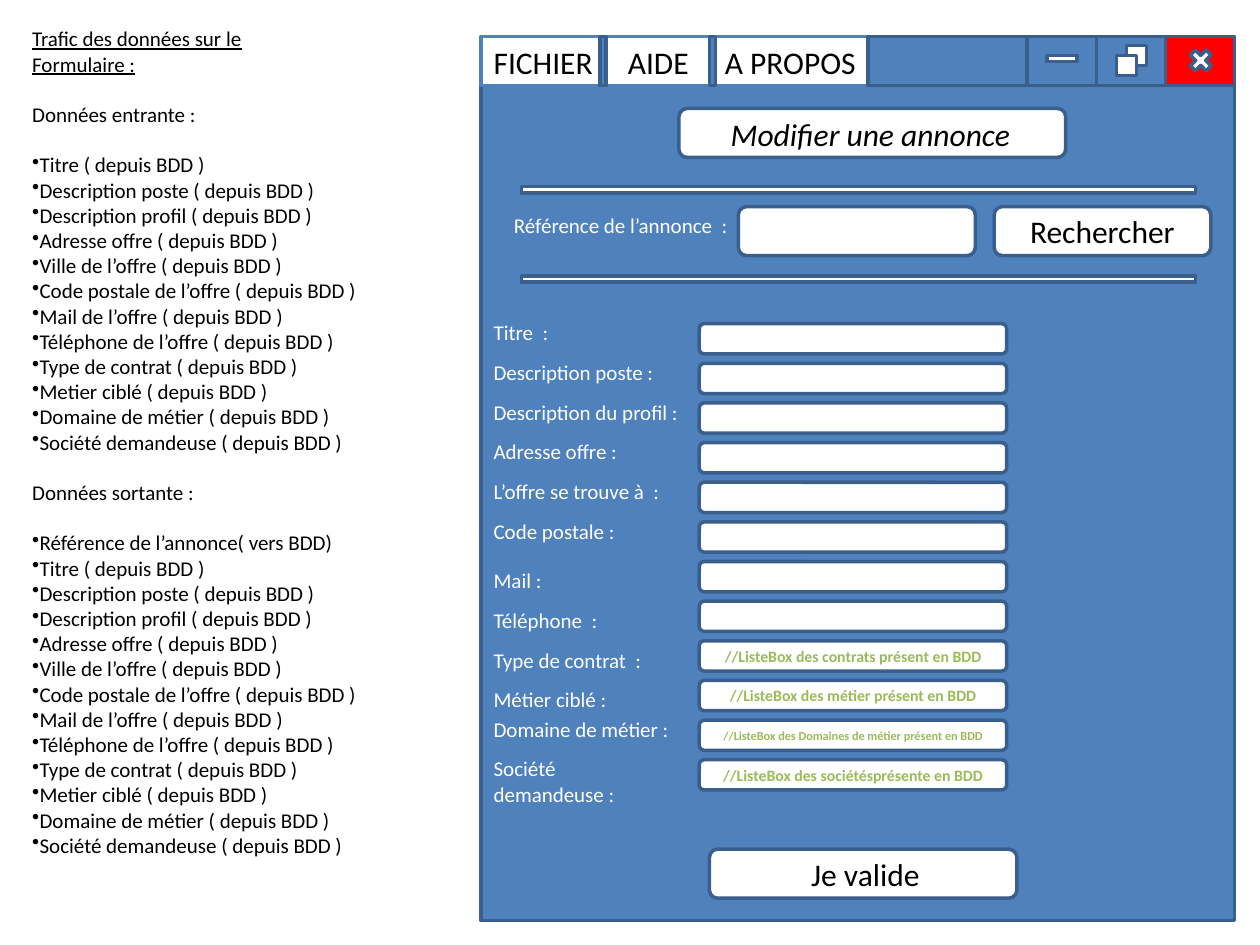
from lxml import etree
from pptx import Presentation
from pptx.dml.color import RGBColor
from pptx.enum import shapes, text
from pptx.oxml.ns import qn
from pptx.util import Pt

BLUE, EDGE, WHITE, BLACK = "4F81BD", "3A5F8C", "FFFFFF", "000000"
RED, GREEN = "FF0000", "9BBB59"
RECT = shapes.MSO_SHAPE.RECTANGLE
ROUNDED = shapes.MSO_SHAPE.ROUNDED_RECTANGLE
CROSS = shapes.MSO_SHAPE.MATH_MULTIPLY
BAR_HEIGHT = 28
LINE = 14.4

OFFER_DATA = [
    "Titre", "Description poste", "Description profil", "Adresse offre",
    "Ville de l’offre", "Code postale de l’offre", "Mail de l’offre",
    "Téléphone de l’offre", "Type de contrat", "Metier ciblé",
    "Domaine de métier", "Société demandeuse",
]

# Label, label offset from its field, hint, hint size
FIELDS = [
    ("Titre  :", -5.7, "", 9),
    ("Description poste :", -5.7, "", 9),
    ("Description du profil :", -5.7, "", 9),
    ("Adresse offre :", -5.7, "", 9),
    ("L’offre se trouve à  :", -5.7, "", 9),
    ("Code postale :", -5.7, "", 9),
    ("Mail :", 0, "", 9),
    ("Téléphone  :", 0, "", 9),
    ("Type de contrat  :", 0, "//ListeBox des contrats présent en BDD", 9),
    ("Métier ciblé :", 0, "//ListeBox des métier présent en BDD", 9),
    ("Domaine de métier :", -5.7,
     "//ListeBox des Domaines de métier présent en BDD", 7),
    ("Société  demandeuse :", -5.7,
     "//ListeBox des sociétésprésente en BDD", 9),
]


def color(hex_code):
    return RGBColor.from_string(hex_code)


def style(paragraph, size, hex_code, **flags):
    for run in paragraph.runs:
        font = run.font
        font.name, font.size = "Calibri", Pt(size)
        font.color.rgb = color(hex_code)
        for flag, value in flags.items():
            setattr(font, flag, value)


def add_box(slide, kind, x, y, w, h, fill=WHITE, edge=EDGE):
    box = slide.shapes.add_shape(kind, Pt(x), Pt(y), Pt(w), Pt(h))
    box.shadow.inherit = False
    box.fill.solid()
    box.fill.fore_color.rgb = color(fill)
    box.line.color.rgb = color(edge)
    box.line.width = Pt(2)
    return box


def add_caption(box, words, size, hex_code, **flags):
    frame = box.text_frame
    frame.text = words
    frame.vertical_anchor = text.MSO_ANCHOR.MIDDLE
    frame.paragraphs[0].alignment = text.PP_ALIGN.CENTER
    style(frame.paragraphs[0], size, hex_code, **flags)


def add_label(slide, words, x, y, w, size=12, hex_code=WHITE, **flags):
    height = 29 if size == 18 else 21.8
    label = slide.shapes.add_textbox(Pt(x), Pt(y), Pt(w), Pt(height))
    label.text_frame.word_wrap = False
    label.text_frame.text = words
    style(label.text_frame.paragraphs[0], size, hex_code, **flags)


def data_list(slide, x, y, w, h):
    incoming = [f"{name} ( depuis BDD )" for name in OFFER_DATA]
    outgoing = ["Référence de l’annonce( vers BDD)"] + incoming
    frame = slide.shapes.add_textbox(Pt(x), Pt(y), Pt(w), Pt(h)).text_frame
    frame.word_wrap = False
    frame.text = "Trafic des données sur le"
    style(frame.paragraphs[0], 12, BLACK, underline=True)
    second_line = frame.add_paragraph()
    second_line.text = "Formulaire :"
    style(second_line, 12, BLACK, underline=True)

    for heading, items in (("Données entrante :", incoming),
                           ("Données sortante :", outgoing)):
        title = frame.add_paragraph()
        title.text = heading
        title.space_before = title.space_after = Pt(LINE)
        style(title, 12, BLACK)
        for item in items:
            entry = frame.add_paragraph()
            entry.text = item
            style(entry, 12, BLACK)
            bullet = etree.SubElement(entry._p.get_or_add_pPr(), qn("a:buChar"))
            bullet.set("char", "•")


def title_bar(slide, x, y, w):
    add_box(slide, RECT, x, y, w, BAR_HEIGHT, WHITE, BLUE)

    # Window buttons, from right to left
    button = 39.5
    for place, fill in enumerate((RED, BLUE, BLUE), start=1):
        add_box(slide, RECT, x + w - place * button, y, button, BAR_HEIGHT, fill)
    add_box(slide, RECT, x + 323.3, y + 10.7, 17.3, 3.6)
    add_box(slide, CROSS, x + 402.5, y + 4.9, 17.3, 17.3)
    for dx, dy in ((368.7, 4.9), (362.9, 10.7)):
        add_box(slide, RECT, x + dx, y + dy, 11.5, 11.5)

    # Menu and its separators
    for name, dx, width in (("FICHIER", 0, 72), ("AIDE", 76.7, 50),
                            ("A PROPOS", 132.1, 90)):
        add_label(slide, name, x + dx, y, width, 18, BLACK)
    for dx, width in ((221, 90.8), (67.7, 3.6), (130.4, 3.6)):
        add_box(slide, RECT, x + dx, y, width, BAR_HEIGHT, BLUE)


def search_area(slide, x, y, w):
    for dy in (0, 51.1):
        add_box(slide, RECT, x + 23, y + dy, w - 45.3, 3.6)
    add_label(slide, "Référence de l’annonce  :", x + 11.6, y + 11.5, 140.4)
    add_box(slide, ROUNDED, x + 146.9, y + 11.5, 135.4, BAR_HEIGHT)
    search = add_box(slide, ROUNDED, x + 293.1, y + 11.5, 123.8, BAR_HEIGHT)
    add_caption(search, "Rechercher", 18, BLACK)


def offer_form(slide, x, y):
    pitch = 22.65
    for row, (name, offset, hint, size) in enumerate(FIELDS):
        top = y + row * pitch
        field = add_box(slide, ROUNDED, x + 124.6, top, 175.7, 17.3)
        if hint:
            add_caption(field, hint, size, GREEN, bold=True)
        add_label(slide, name, x, top + offset, 124)


def app_window(slide, x, y, w, h):
    add_box(slide, RECT, x, y, w, h, BLUE)
    title_bar(slide, x, y, w)

    # Page heading
    add_box(slide, ROUNDED, x + 113, y + 41, 221, BAR_HEIGHT)
    add_label(slide, "Modifier une annonce", x + 135.4, y + 41, 187, 18,
              BLACK, italic=True)

    search_area(slide, x, y + 85.6, w)
    offer_form(slide, x, y + 164)

    # Confirm button
    add_box(slide, ROUNDED, x + 130.4, y + 464.3, 175.7, BAR_HEIGHT)
    add_label(slide, "Je valide", x + 181.5, y + 464.3, 81.4, 18, BLACK)


def main():
    deck = Presentation()
    deck.slide_width, deck.slide_height = Pt(720), Pt(540)
    slide = deck.slides.add_slide(deck.slide_layouts[6])
    app_window(slide, 275, 21, 430.5, 505)
    data_list(slide, 11.3, 11.3, 201.6, 501.8)
    deck.save("out.pptx")


if __name__ == "__main__":
    main()
